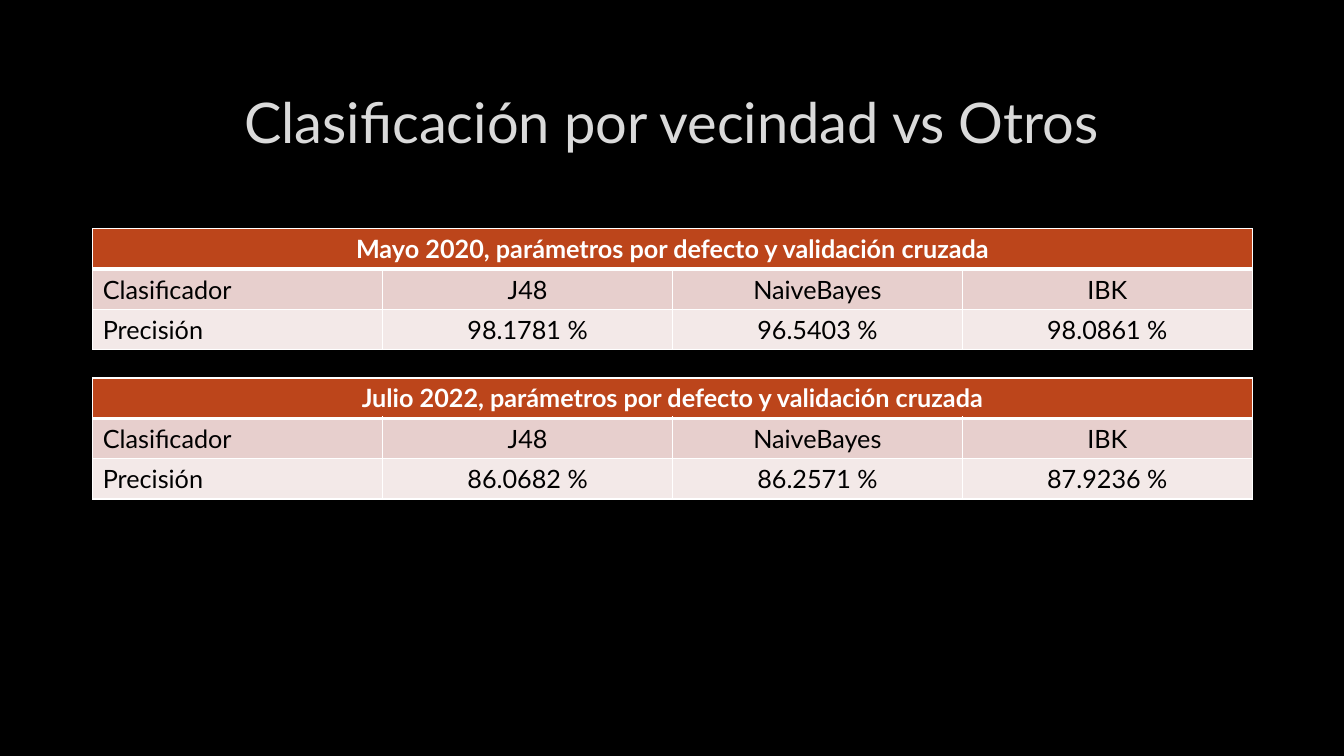
from lxml.etree import SubElement
from pptx import Presentation
from pptx.dml.color import RGBColor
from pptx.enum.text import MSO_ANCHOR, PP_ALIGN
from pptx.oxml import parse_xml
from pptx.oxml.ns import nsdecls, qn
from pptx.util import Inches, Pt

FONT = "Lato"
COLUMNS = 4
TABLE_LEFT, TABLE_WIDTH = 0.92, 11.5
ROW_HEIGHT = 0.4
FIRST_TOP, TABLE_STEP = 2.27, 1.48
ROW_FILLS = ["BC451B", "E7CFCD", "F3E9E8"]
CLASSIFIERS = ["Clasificador", "J48", "NaiveBayes", "IBK"]
RESULTS = [
    ("Mayo 2020", ["98.1781 %", "96.5403 %", "98.0861 %"]),
    ("Julio 2022", ["86.0682 %", "86.2571 %", "87.9236 %"]),
]


def paint(fill, color):
    """Give a fill one solid colour."""
    fill.solid()
    fill.fore_color.rgb = RGBColor.from_string(color)


def format_text(paragraph, size, color, align, bold=False):
    """Format a paragraph and its runs."""
    paragraph.alignment = align
    for run in paragraph.runs:
        run.font.name = FONT
        run.font.size = Pt(size)
        run.font.bold = bold
        paint(run.font.fill, color)


def add_border(cell, side, width):
    """Draw a white border on one side of a cell."""
    line = SubElement(cell._tc.get_or_add_tcPr(), qn(f"a:ln{side}"), w=str(Pt(width)))
    SubElement(SubElement(line, qn("a:solidFill")), qn("a:srgbClr"), val="FFFFFF")


def add_title(slide, wording):
    """Place the centred title with its faint letter outline."""
    title = slide.shapes.title
    title.left, title.top, title.width, title.height = map(Inches, (1, 0.67, 11.32, 1.06))
    title.text_frame.text = wording
    title.text_frame.vertical_anchor = MSO_ANCHOR.MIDDLE
    heading = title.text_frame.paragraphs[0]
    format_text(heading, 40, "DADADA", PP_ALIGN.CENTER)
    outline = parse_xml(
        f'<a:ln {nsdecls("a")} w="{Pt(0.75)}"><a:solidFill><a:srgbClr val="404040">'
        '<a:alpha val="10000"/></a:srgbClr></a:solidFill></a:ln>'
    )
    heading.runs[0].font._element.insert(0, outline)


def add_results(slide, top, period, precisions):
    """Add the table of classifier precision for one period."""
    header = f"{period}, parámetros por defecto y validación cruzada"
    rows = [[header] + [""] * (COLUMNS - 1), CLASSIFIERS, ["Precisión"] + precisions]
    table = slide.shapes.add_table(
        len(rows), COLUMNS, Inches(TABLE_LEFT), Inches(top),
        Inches(TABLE_WIDTH), Inches(ROW_HEIGHT * len(rows)),
    ).table
    table.cell(0, 0).merge(table.cell(0, COLUMNS - 1))
    for r, wordings in enumerate(rows):
        is_header = r == 0
        for c, wording in enumerate(wordings):
            cell = table.cell(r, c)
            widths = {"L": 1, "R": 1, "T": 3 if r == 1 else 1, "B": 3 if is_header else 1}
            for side, width in widths.items():
                add_border(cell, side, width)
            paint(cell.fill, ROW_FILLS[r])
            if wording:
                cell.text_frame.text = wording
                align = PP_ALIGN.CENTER if is_header or c else PP_ALIGN.LEFT
                color = "FFFFFF" if is_header else "000000"
                format_text(cell.text_frame.paragraphs[0], 18, color, align, is_header)


def main():
    """Build and save the slide."""
    deck = Presentation()
    deck.slide_width, deck.slide_height = Inches(13.33), Inches(7.5)
    slide = deck.slides.add_slide(deck.slide_layouts[5])
    paint(slide.background.fill, "000000")
    add_title(slide, "Clasificación por vecindad vs Otros")
    for position, (period, precisions) in enumerate(RESULTS):
        add_results(slide, FIRST_TOP + position * TABLE_STEP, period, precisions)
    deck.save("out.pptx")


if __name__ == "__main__":
    main()
